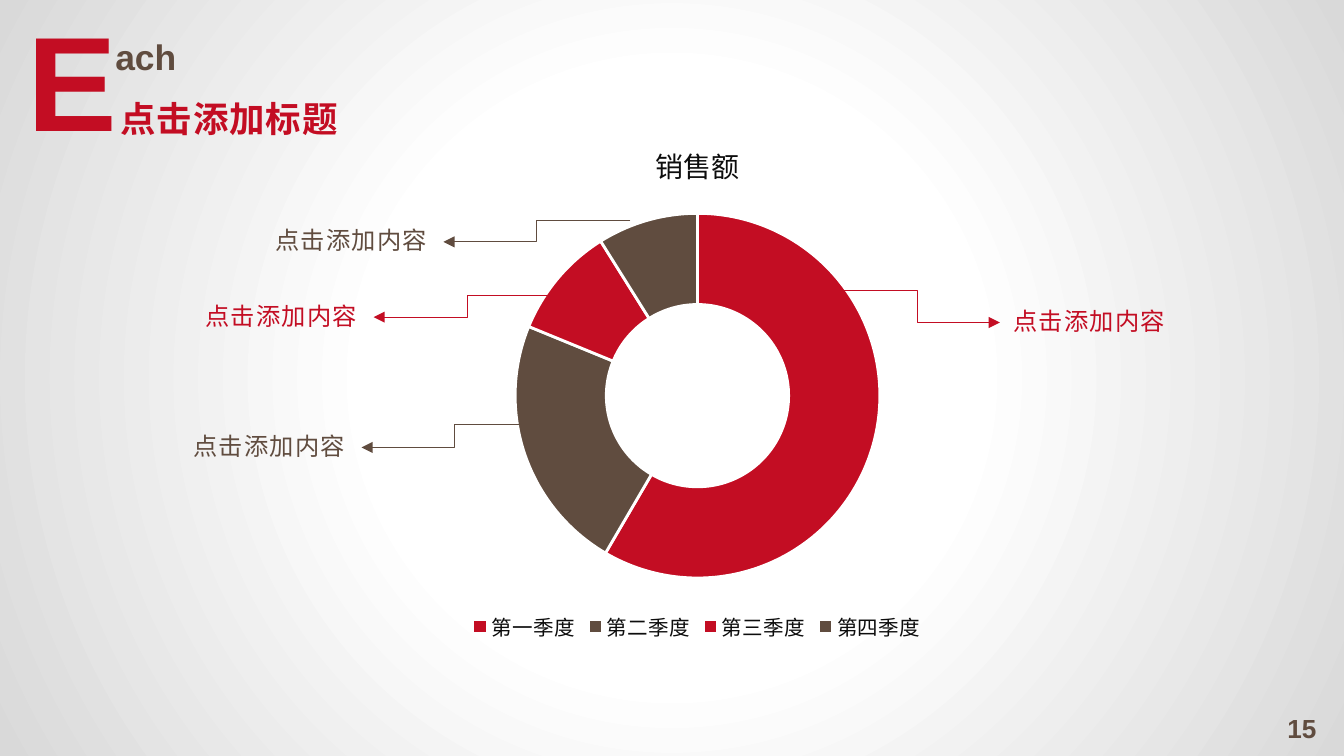
"""Build a quarterly sales slide with a doughnut chart and four callouts."""
from lxml import etree
from pptx import Presentation
from pptx import util as u
from pptx.chart.data import CategoryChartData
from pptx.dml.color import RGBColor
from pptx.enum import chart as charts, shapes, text
from pptx.oxml import ns

COLORS = {"red": "C30D23", "brown": "604C3F", "ink": "0D0D0D",
          "black": "000000", "white": "FFFFFF", "grey": "D9D9D9"}
LATIN, CHINESE = "Arial", "Noto Sans CJK SC"
COLUMNS, ROWS = 100, 56.25
LABEL_WIDTH, LABEL_HEIGHT, LABEL_RISE = 13.5, 3.1, 1.65


def rgb(color):
    return RGBColor.from_string(COLORS[color])


def add_node(parent, tag, **attributes):
    node = etree.SubElement(parent, ns.qn(tag))
    for key, value in attributes.items():
        node.set(key, str(value))
    return node


def style_font(font, size, color, name=CHINESE, bold=False):
    font.size, font.name, font.bold = u.Pt(size), name, bold
    font.color.rgb = rgb(color)
    add_node(font._element, "a:ea", typeface=name)


def write_text(para, content, spacing=0, align=None, line=None, **style):
    span = para.add_run()
    span.text = content
    style_font(span.font, **style)
    if spacing:
        span.font._element.set("spc", str(round(spacing * 100)))
    if align is not None:
        para.alignment = align
    if line:
        para.line_spacing = u.Pt(line)


class SlideBuilder:
    """Hold the grid and the current slide, and add each kind of element."""

    def __init__(self):
        self.deck = Presentation()
        self.cell = u.Inches(0.1)
        self.deck.slide_width, self.deck.slide_height = self.place(COLUMNS, ROWS)
        self.page = self.deck.slides.add_slide(self.deck.slide_layouts[6])

    def place(self, *counts):
        return [u.Emu(round(count * self.cell)) for count in counts]

    def background(self, center, edge, start):
        fill = self.page.background.fill
        fill.gradient()
        for stop, color, position in zip(fill.gradient_stops, (center, edge), (start, 1)):
            stop.color.rgb, stop.position = rgb(color), position
        gradient = next(self.page.element.iter(ns.qn("a:gradFill")))
        gradient.remove(gradient.find(ns.qn("a:lin")))
        shade = add_node(gradient, "a:path", path="circle")
        add_node(shade, "a:fillToRect", l=50000, t=50000, r=50000, b=50000)

    def text(self, area, content, wrap=False, **style):
        box = self.page.shapes.add_textbox(*self.place(*area))
        frame = box.text_frame
        frame.word_wrap = wrap
        frame.vertical_anchor = text.MSO_ANCHOR.BOTTOM
        write_text(frame.paragraphs[0], content, **style)

    def arrow(self, start, end, color):
        arrow = self.page.shapes.add_connector(
            shapes.MSO_CONNECTOR.ELBOW, *self.place(*start, *end))
        arrow.line.color.rgb, arrow.line.width = rgb(color), u.Pt(0.5)
        outline = arrow._element.spPr.find(ns.qn("a:ln"))
        add_node(outline, "a:tailEnd", type="triangle")
        add_node(arrow._element.spPr, "a:effectLst")

    def callout(self, start, reach, drop, color):
        column, row = start[0] + reach, start[1] + drop
        self.arrow(start, (column, row), color)
        left = column if reach > 0 else column - LABEL_WIDTH
        self.text((left, row - LABEL_RISE, LABEL_WIDTH, LABEL_HEIGHT),
                  "点击添加内容", wrap=True, size=13, color=color, spacing=0.7,
                  align=text.PP_ALIGN.JUSTIFY, line=15)

    def doughnut(self, area, title, values, colors):
        data = CategoryChartData()
        data.categories = values.keys()
        data.add_series(title, values.values())
        chart = self.page.shapes.add_chart(
            charts.XL_CHART_TYPE.DOUGHNUT, *self.place(*area), data).chart
        style_font(chart.font, 10, "black", "Calibri")
        chart.has_title = True
        write_text(chart.chart_title.text_frame.paragraphs[0], title, size=15, color="ink")
        chart.has_legend = True
        chart.legend.position = charts.XL_LEGEND_POSITION.BOTTOM
        chart.legend.include_in_layout = False
        style_font(chart.legend.font, 11, "ink")
        plot = chart.plots[0]
        plot.vary_by_categories = True
        for index, color in enumerate(colors):
            look = plot.series[0].points[index].format
            look.fill.solid()
            look.fill.fore_color.rgb = rgb(color)
            look.line.color.rgb, look.line.width = rgb("white"), u.Pt(1.5)


def main():
    slide = SlideBuilder()
    slide.background("white", "grey", 0.39)
    slide.text((1.05, -0.8, 8.8, 13.1), "E", size=72, color="red", name=LATIN, bold=True)
    slide.text((94.8, 52.4, 4.2, 3.4), "15", size=14, color="brown", name=LATIN, bold=True)
    slide.text((7.6, 2.1, 6.6, 4.2), "ach", size=19, color="brown", name=LATIN, bold=True)
    slide.text((7.8, 6.65, 18.5, 4.2), "点击添加标题", size=19, color="red", bold=True,
               spacing=0.5, align=text.PP_ALIGN.CENTER)
    quarters = {"第一季度": 59, "第二季度": 23, "第三季度": 10, "第四季度": 9}
    slide.doughnut((29.8, 8.9, 44.2, 39.2), "销售额", quarters, ["red", "brown"] * 2)
    slide.callout((46.9, 16.4), -13.9, 1.6, "brown")
    slide.callout((41.7, 22), -13.9, 1.6, "red")
    slide.callout((40.8, 31.6), -13.9, 1.7, "brown")
    slide.callout((62.1, 21.6), 12.3, 2.4, "red")
    slide.deck.save("out.pptx")


if __name__ == "__main__":
    main()
